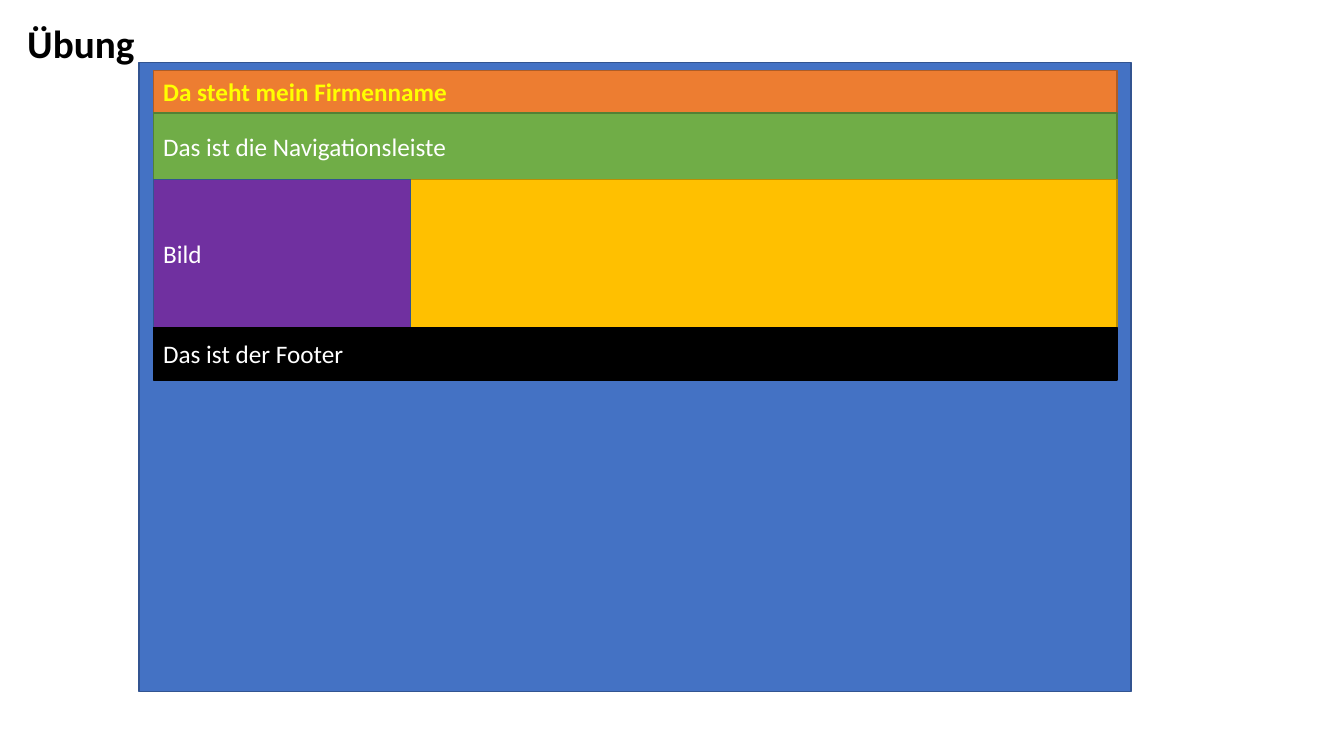
import pptx
import pptx.util
import pptx.dml.color
import pptx.enum.shapes
import pptx.enum.text

Inches = pptx.util.Inches

HEADING = "Übung"
PAGE = {"left": 1.38, "top": 0.62, "width": 9.84, "height": 6.24,
        "fill": "4472C4", "line": "325491"}
SECTIONS_LEFT, SECTIONS_TOP, SECTIONS_WIDTH = 1.52, 0.7, 9.56
SECTIONS = [
    {"height": 0.42, "fill": "ED7D31", "line": "AF5C24",
     "text": "Da steht mein Firmenname", "color": "FFFF00", "bold": True},
    {"height": 0.66, "fill": "70AD47", "line": "538035",
     "text": "Das ist die Navigationsleiste"},
    {"height": 1.47, "fill": "FFC000", "line": "BD8E00",
     "inset": {"width": 2.55, "fill": "7030A0", "line": "325491", "text": "Bild"}},
    {"height": 0.52, "fill": "000000", "line": "000000",
     "text": "Das ist der Footer"},
]


def rgb(value):
    return pptx.dml.color.RGBColor.from_string(value)


def write(frame, text, size=18, color="FFFFFF", bold=False,
          anchor=pptx.enum.text.MSO_ANCHOR.MIDDLE):
    frame.word_wrap = True
    frame.vertical_anchor = anchor
    paragraph = frame.paragraphs[0]
    paragraph.alignment = pptx.enum.text.PP_ALIGN.LEFT
    paragraph.line_spacing = 1.0
    paragraph.space_before = pptx.util.Pt(0)
    run = paragraph.add_run()
    run.text = text
    run.font.name = "Calibri"
    run.font.size = pptx.util.Pt(size)
    run.font.bold = bold
    run.font.color.rgb = rgb(color)


def add_block(slide, left, top, width, height, fill, line, text=None, **text_format):
    block = slide.shapes.add_shape(
        pptx.enum.shapes.MSO_SHAPE.RECTANGLE,
        Inches(left), Inches(top), Inches(width), Inches(height))
    block.shadow.inherit = False
    block.fill.solid()
    block.fill.fore_color.rgb = rgb(fill)
    block.line.color.rgb = rgb(line)
    block.line.width = pptx.util.Pt(1)
    if text:
        write(block.text_frame, text, **text_format)


def main():
    deck = pptx.Presentation()
    deck.slide_width, deck.slide_height = Inches(13.33), Inches(7.5)
    slide = deck.slides.add_slide(deck.slide_layouts[5])

    heading = slide.shapes.title
    heading.left, heading.top = Inches(0.17), Inches(0.14)
    heading.width, heading.height = Inches(1.95), Inches(0.57)
    write(heading.text_frame, HEADING, size=28, color="000000", bold=True,
          anchor=pptx.enum.text.MSO_ANCHOR.TOP)
    heading.text_frame.auto_size = pptx.enum.text.MSO_AUTO_SIZE.SHAPE_TO_FIT_TEXT

    add_block(slide, **PAGE)
    top = SECTIONS_TOP
    for section in SECTIONS:
        look = {key: value for key, value in section.items() if key != "inset"}
        add_block(slide, SECTIONS_LEFT, top, SECTIONS_WIDTH, **look)
        if "inset" in section:
            add_block(slide, SECTIONS_LEFT, top, height=section["height"],
                      **section["inset"])
        top += section["height"]

    deck.save("out.pptx")


if __name__ == "__main__":
    main()
